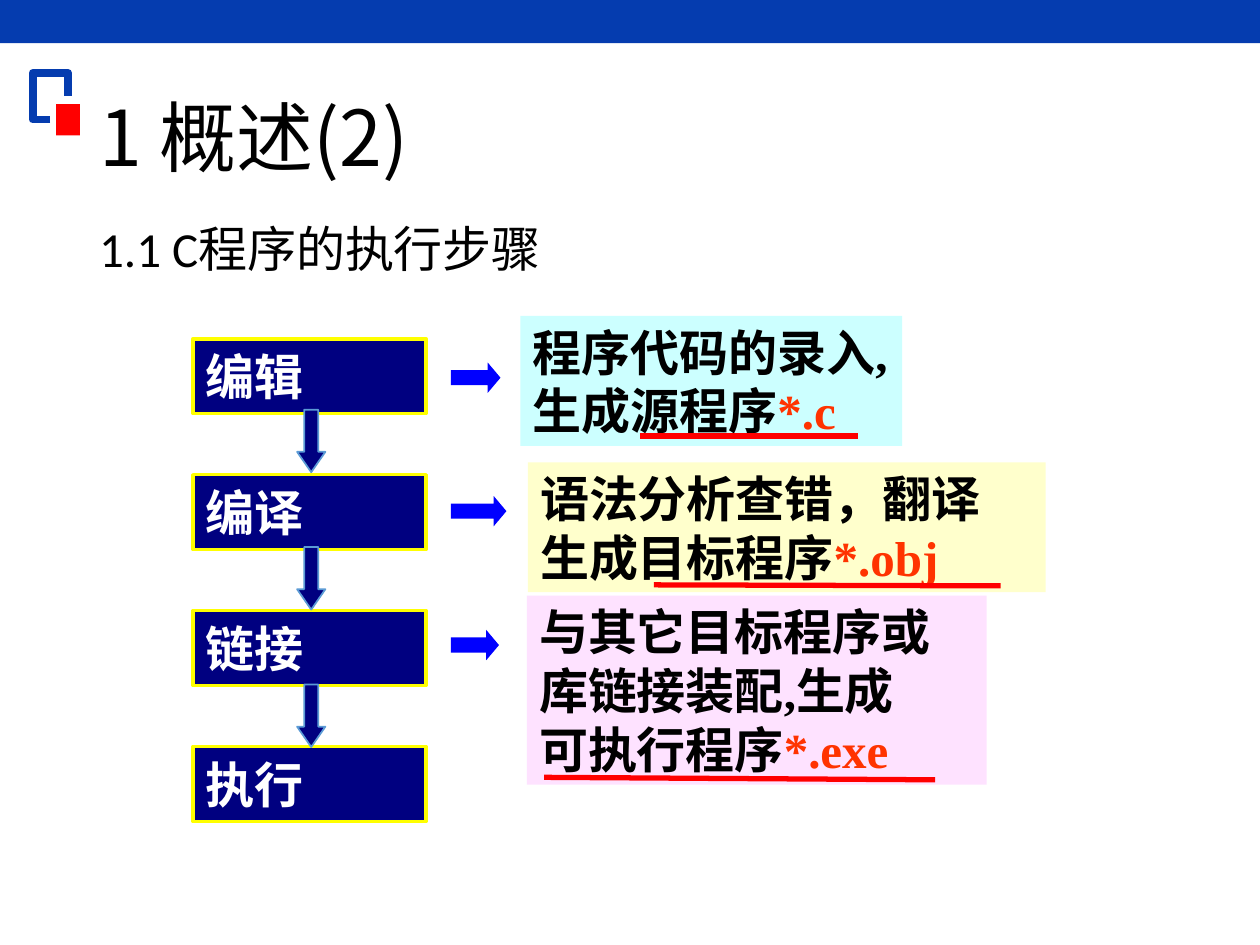
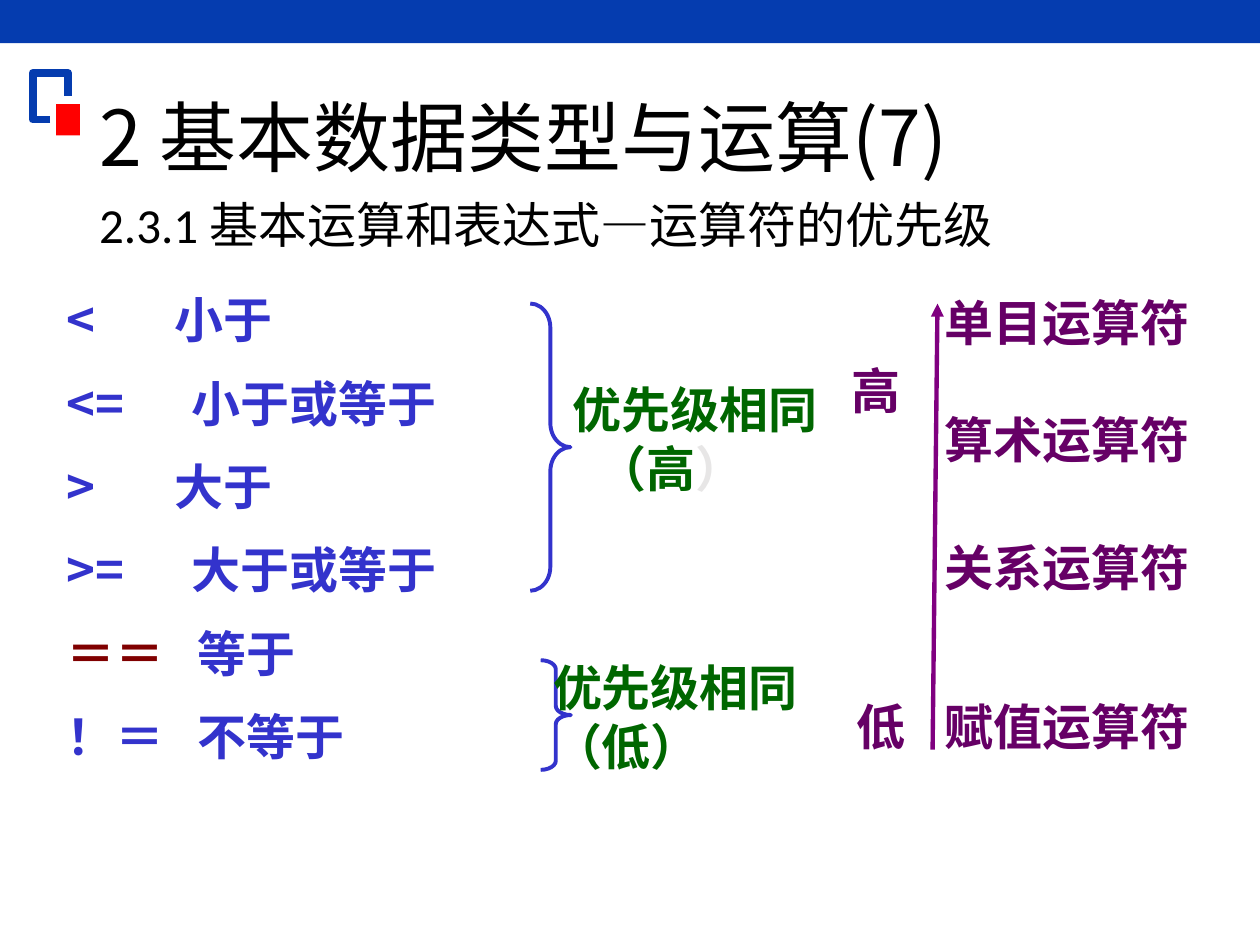
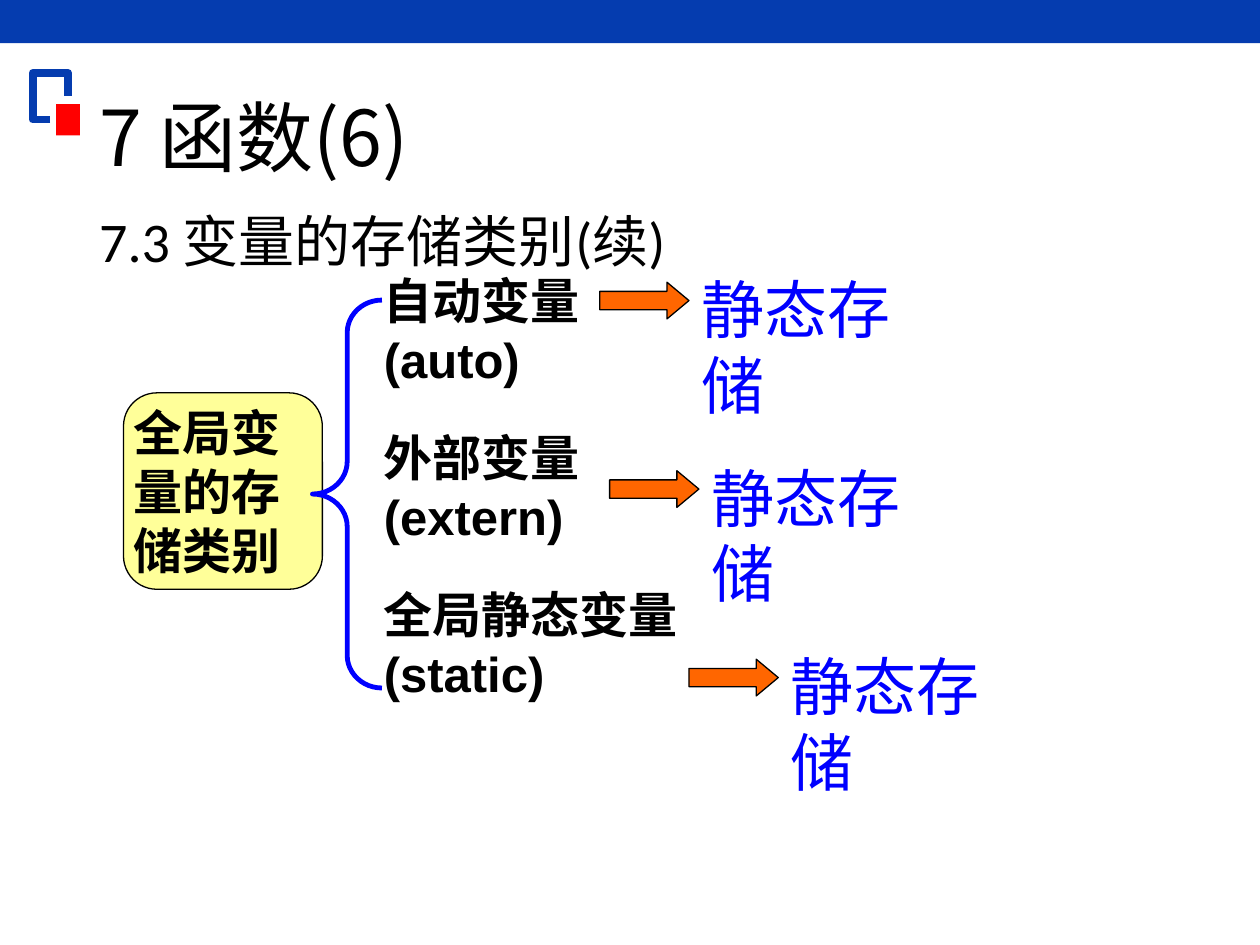
from lxml import etree
from pptx import Presentation
from pptx.dml.color import RGBColor
from pptx.enum.shapes import MSO_CONNECTOR, MSO_SHAPE
from pptx.enum.text import MSO_ANCHOR, MSO_AUTO_SIZE
from pptx.oxml.ns import qn
from pptx.util import Cm, Pt

RECTANGLE = MSO_SHAPE.RECTANGLE
ROUNDED = MSO_SHAPE.ROUNDED_RECTANGLE
DOWN_ARROW = MSO_SHAPE.DOWN_ARROW
RIGHT_ARROW = MSO_SHAPE.RIGHT_ARROW
LEFT_BRACE = MSO_SHAPE.LEFT_BRACE
RIGHT_BRACE = MSO_SHAPE.RIGHT_BRACE
STRAIGHT = MSO_CONNECTOR.STRAIGHT
TOP, MIDDLE = MSO_ANCHOR.TOP, MSO_ANCHOR.MIDDLE
FIT_SHAPE = MSO_AUTO_SIZE.SHAPE_TO_FIT_TEXT

BAND_BLUE = RGBColor(0x05, 0x3C, 0xAF)
RED = RGBColor(0xFF, 0x00, 0x00)
BLACK = RGBColor(0x00, 0x00, 0x00)
WHITE = RGBColor(0xFF, 0xFF, 0xFF)
NAVY = RGBColor(0x00, 0x00, 0x80)
YELLOW = RGBColor(0xFF, 0xFF, 0x00)
STEEL = RGBColor(0x5B, 0x9B, 0xD5)
BLUE = RGBColor(0x00, 0x00, 0xFF)
ORANGE = RGBColor(0xFF, 0x66, 0x00)
ORANGE_RED = RGBColor(0xFF, 0x33, 0x00)
PALE_CYAN = RGBColor(0xCC, 0xFF, 0xFF)
PALE_YELLOW = RGBColor(0xFF, 0xFF, 0xCC)
PALE_PINK = RGBColor(0xFE, 0xE2, 0xFF)
SOFT_YELLOW = RGBColor(0xFF, 0xFF, 0x99)
INDIGO = RGBColor(0x33, 0x33, 0xCC)
MAROON = RGBColor(0x80, 0x00, 0x00)
GREEN = RGBColor(0x00, 0x66, 0x00)
LIGHT_GREY = RGBColor(0xE7, 0xE6, 0xE6)
PURPLE = RGBColor(0x80, 0x00, 0x80)
PLUM = RGBColor(0x66, 0x00, 0x66)

CJK = "Noto Sans CJK SC"
TITLE = {"name": CJK, "size": Pt(44)}
HEADING = {"name": "Calibri", "size": Pt(28)}
LARGE_HEADING = {"name": "Calibri", "size": Pt(32)}
TIMES = {"name": "Times New Roman", "size": Pt(28), "bold": True}
ARIAL = {"name": "Arial", "size": Pt(28), "bold": True}
NOTO = {"name": CJK, "size": Pt(28), "bold": True}
STORAGE = {"name": CJK, "size": Pt(36)}


def add_run(paragraph, text, style, color):
    """Add one run with its font, East Asian font and colour."""
    run = paragraph.add_run()
    run.text = text
    for name, value in style.items():
        setattr(run.font, name, value)
    run.font.color.rgb = color
    properties = run.font._element
    etree.SubElement(properties, qn("a:ea"), typeface=CJK)


def add_tab_stop(paragraph, position):
    """Give a paragraph one left tab stop."""
    properties = paragraph._p.get_or_add_pPr()
    tabs = etree.SubElement(properties, qn("a:tabLst"))
    etree.SubElement(tabs, qn("a:tab"), pos=str(Cm(position)), algn="l")


def write_text(shape, paragraphs, style, color, gap=0, spacing=None,
               anchor=TOP, wrap=True):
    """Fill a shape with paragraphs, each a string or a list of (text, colour)."""
    frame = shape.text_frame
    frame.word_wrap = wrap
    frame.vertical_anchor = anchor
    for index, content in enumerate(paragraphs):
        paragraph = frame.add_paragraph() if index else frame.paragraphs[0]
        layout = {"space_before": Pt(gap if index else 0), "line_spacing": spacing}
        for name, value in layout.items():
            setattr(paragraph, name, value)
        runs = [(content, color)] if isinstance(content, str) else content
        for text, run_color in runs:
            add_run(paragraph, text, style, run_color)
    return frame


def add_text(slide, box, paragraphs, style, color, **options):
    """Add a text box and return its text frame."""
    shape = slide.shapes.add_textbox(*map(Cm, box))
    return write_text(shape, paragraphs, style, color, **options)


def add_figure(slide, kind, box, fill=None, line=None, width=1, adjustments=()):
    """Add a preset shape with left-aligned text."""
    shape = slide.shapes.add_shape(kind, *map(Cm, box))
    shape.shadow.inherit = False
    for index, value in enumerate(adjustments):
        shape.adjustments[index] = value
    if fill is None:
        shape.fill.background()
    else:
        shape.fill.solid()
        shape.fill.fore_color.rgb = fill
    if line is None:
        shape.line.fill.background()
    else:
        shape.line.color.rgb = line
        shape.line.width = Pt(width)
    shape.text_frame.paragraphs[0].alignment = 1
    return shape


def add_line(slide, ends, color, width, arrow=False):
    """Add a straight line, with an arrowhead at its end on request."""
    connector = slide.shapes.add_connector(STRAIGHT, *map(Cm, ends))
    connector.line.color.rgb = color
    connector.line.width = Pt(width)
    if arrow:
        outline = connector.line._get_or_add_ln()
        etree.SubElement(outline, qn("a:tailEnd"), type="triangle")
    etree.SubElement(connector._element.spPr, qn("a:effectLst"))


def add_base_slide(presentation, title, heading, heading_top, heading_style=HEADING):
    """Add a slide with the band, corner mark, title and heading."""
    slide = presentation.slides.add_slide(presentation.slide_layouts[6])
    add_figure(slide, RECTANGLE, (0, 0, 25.4, 0.87), BAND_BLUE)
    corner = [(1.01, 2.41), (0.66, 2.41), (0.66, 1.47), (1.37, 1.47), (1.37, 1.94)]
    points = [(Cm(x), Cm(y)) for x, y in corner]
    builder = slide.shapes.build_freeform(*points[0])
    builder.add_line_segments(points[1:], close=False)
    bracket = builder.convert_to_shape()
    bracket.shadow.inherit = False
    bracket.fill.background()
    bracket.line.color.rgb = BAND_BLUE
    bracket.line.width = Pt(4.5)
    add_figure(slide, RECTANGLE, (1.13, 2.1, 0.48, 0.63), RED)
    add_text(slide, (1.75, 1.02, 21.9, 3.68), [title], TITLE, BLACK,
             spacing=0.9, anchor=MIDDLE)
    add_text(slide, (1.75, heading_top, 21.9, 1.6), [heading], heading_style, BLACK,
             spacing=0.9)
    return slide


def build_steps_slide(presentation):
    """Build the steps from editing to execution."""
    slide = add_base_slide(presentation, "1 概述(2)", "1.1 C程序的执行步骤", 4.42)
    steps = ["编辑", "编译", "链接", "执行"]
    for index, step in enumerate(steps):
        box = add_figure(slide, RECTANGLE, (3.89, 6.83 + 2.74 * index, 4.7, 1.51),
                         NAVY, YELLOW, 2)
        write_text(box, [step], TIMES, WHITE, anchor=MIDDLE)
    for index in range(len(steps) - 1):
        add_figure(slide, DOWN_ARROW, (5.99, 8.26 + 2.77 * index, 0.57, 1.26),
                   NAVY, STEEL, 1, (0.5, 0.72))
    details = [
        ((10.49, 6.37, 7.7, 2.62), PALE_CYAN,
         ["程序代码的录入,", [("生成源程序", BLACK), ("*.c", ORANGE_RED)]],
         (9.09, 7.31, 1, 0.61), (12.9, 8.79, 17.3, 8.79)),
        ((10.64, 9.32, 10.44, 2.62), PALE_YELLOW,
         ["语法分析查错，翻译", [("生成目标程序", BLACK), ("*.obj", ORANGE_RED)]],
         (9.09, 10, 1.12, 0.61), (13.18, 11.79, 20.17, 11.81)),
        ((10.62, 12.01, 9.27, 3.81), PALE_PINK,
         ["与其它目标程序或库链接装配,生成",
          [("可执行程序", BLACK), ("*.exe", ORANGE_RED)]],
         (9.09, 12.7, 0.97, 0.61), (10.97, 15.67, 18.85, 15.72)),
    ]
    for index, (box, fill, lines, arrow, underline) in enumerate(details):
        panel = add_figure(slide, RECTANGLE, box, fill)
        frame = write_text(panel, lines, TIMES, BLACK, wrap=index > 0)
        for paragraph in frame.paragraphs:
            paragraph.alignment = 1
        frame.auto_size = FIT_SHAPE
        add_figure(slide, RIGHT_ARROW, arrow, BLUE, adjustments=(0.5, 0.42))
        add_line(slide, underline, RED, 3)


def build_priority_slide(presentation):
    """Build the relational operators and their priority."""
    slide = add_base_slide(presentation, "2 基本数据类型与运算(7)",
                           "2.3.1 基本运算和表达式—运算符的优先级", 3.94)
    operators = [
        ("<\t小于", 2.18),
        ("<=\t小于或等于", 2.52),
        (">\t大于", 2.18),
        (">=\t大于或等于", 2.52),
        ([("＝＝", MAROON), ("\t等于", INDIGO)], 2.65),
        ("！＝\t不等于", 2.65),
    ]
    frame = add_text(slide, (1.09, 5.72, 10.72, 10.34),
                     [content for content, _ in operators], NOTO, INDIGO, gap=14)
    for paragraph, (_, position) in zip(frame.paragraphs, operators):
        add_tab_stop(paragraph, position)

    add_figure(slide, RIGHT_BRACE, (10.69, 6.12, 0.81, 5.79), None, INDIGO, 2.25,
               (0.6, 0.5))
    frame = add_text(slide, (11.3, 7.52, 5.59, 2.62),
                     ["优先级相同", [("（高", GREEN), ("）", LIGHT_GREY)]], NOTO, GREEN)
    frame.paragraphs[1]._p.get_or_add_pPr().set("marL", str(Cm(0.5)))
    add_figure(slide, RIGHT_BRACE, (10.9, 13.31, 0.61, 2.21), None, INDIGO, 2.25,
               (0.3, 0.5))
    add_text(slide, (10.9, 13.13, 6.4, 2.62), ["优先级相同（低）"], TIMES, GREEN)

    add_line(slide, (18.8, 15.11, 18.9, 6.12), PURPLE, 2.5, arrow=True)
    labels = [
        ("低", 17.02, 13.92, 1.8, None),
        ("高", 16.92, 7.14, 1.8, None),
        ("赋值运算符", 18.8, 13.92, 5.49, None),
        ("关系运算符", 18.8, 10.72, 5.49, None),
        ("算术运算符", 18.8, 8.13, 5.49, None),
        ("单目运算符", 18.8, 5.54, 6.1, 1.2),
    ]
    for text, left, top, width, spacing in labels:
        add_text(slide, (left, top, width, 1.45), [text], TIMES, PLUM, spacing=spacing)


def build_storage_slide(presentation):
    """Build the storage classes of global variables."""
    slide = add_base_slide(presentation, "7 函数(6)", "7.3 变量的存储类别(续)", 4.19,
                           LARGE_HEADING)
    topic = add_figure(slide, ROUNDED, (2.49, 7.92, 4.01, 3.96), SOFT_YELLOW, BLACK,
                       0.75, (0.17,))
    frame = write_text(topic, ["全局变量的存储类别"], ARIAL, BLACK, anchor=MIDDLE)
    for side in ("left", "top", "right", "bottom"):
        setattr(frame, f"margin_{side}", 0)
    add_figure(slide, LEFT_BRACE, (6.3, 6.05, 1.4, 7.82), None, BLUE, 2.75,
               (0.47, 0.5))
    add_text(slide, (7.49, 5.33, 6.81, 9.27),
             ["自动变量 (auto)", "外部变量(extern)", "全局静态变量(static)"],
             ARIAL, BLACK, gap=22.4)
    for index, left in enumerate((12.09, 12.29, 13.89)):
        top = 5.33 + 3.8 * index
        add_text(slide, (left + 1.8, top, 5.26, 1.19), ["静态存储"], STORAGE, BLUE,
                 wrap=False)
        add_figure(slide, RIGHT_ARROW, (left, top + 0.36, 1.8, 0.74), ORANGE, BLACK,
                   0.75, (0.5, 0.6))


def main():
    """Build and save the presentation."""
    presentation = Presentation()
    presentation.slide_width = Cm(25.4)
    presentation.slide_height = Cm(19.05)
    build_steps_slide(presentation)
    build_priority_slide(presentation)
    build_storage_slide(presentation)
    presentation.save("out.pptx")


if __name__ == "__main__":
    main()
